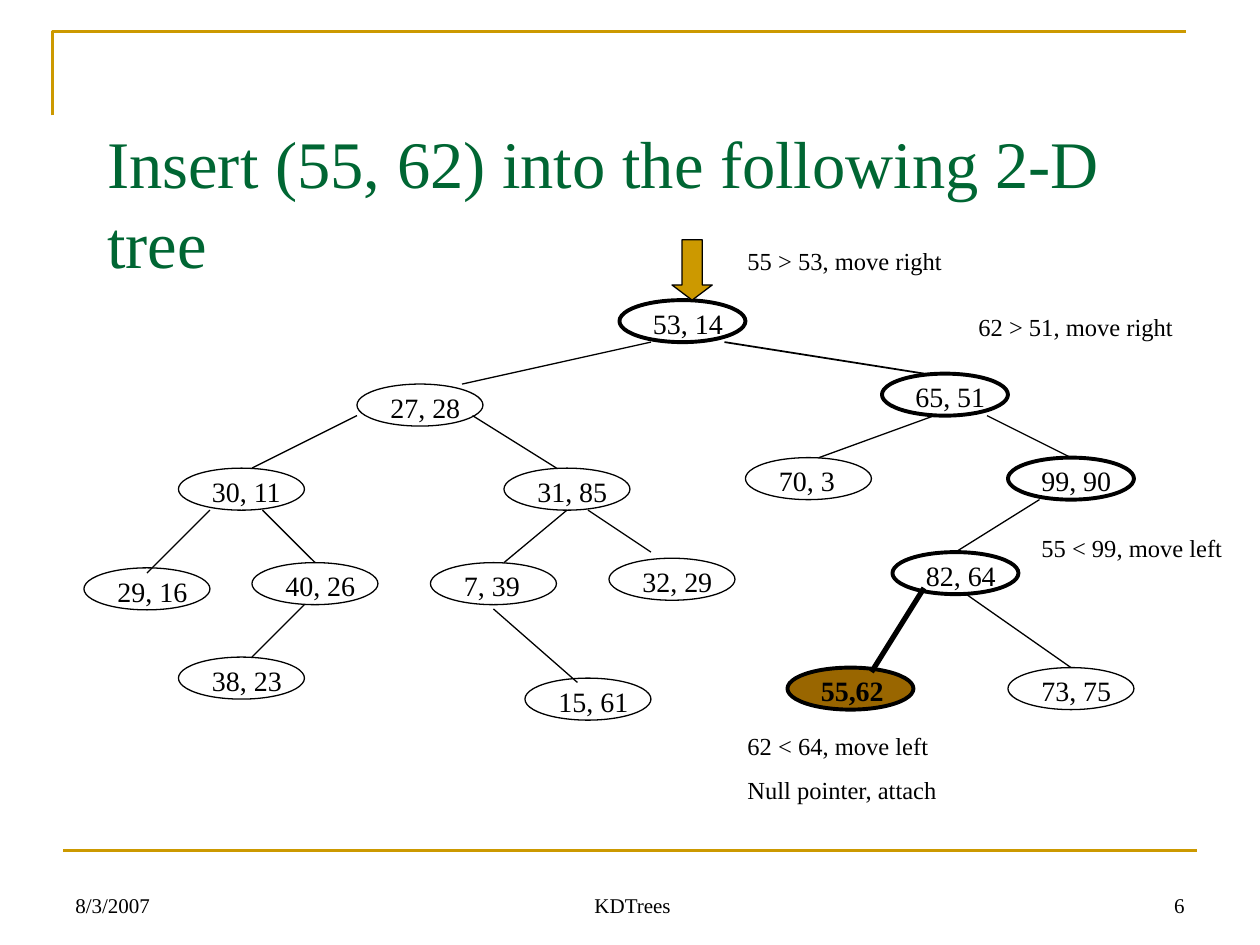
import pptx
import pptx.util
import pptx.dml.color
import pptx.enum.shapes
import pptx.enum.text
import pptx.oxml

Pt = pptx.util.Pt
Shape = pptx.enum.shapes.MSO_SHAPE
Align = pptx.enum.text.PP_ALIGN
Anchor = pptx.enum.text.MSO_ANCHOR
Fit = pptx.enum.text.MSO_AUTO_SIZE

HUES = {"ink": "000000", "gold": "CC9900", "green": "006633",
        "paper": "FFFFFF", "new": "996600"}
FACE = "Times New Roman"
NODE_W, NODE_H = 72, 24

# Nodes: label, left, top within the tree, on the search path or not
NODES = [
    ("53, 14", 306, 0, True), ("27, 28", 156, 48, False),
    ("65, 51", 456, 42, True), ("31, 85", 240, 96, False),
    ("30, 11", 54, 96, False), ("70, 3", 378, 90, False),
    ("99, 90", 528, 90, True), ("29, 16", 0, 153, False),
    ("40, 26", 96, 150, False), ("7, 39", 198, 150, False),
    ("32, 29", 300, 147.5, False), ("82, 64", 462, 144, True),
    ("73, 75", 528, 210, False), ("15, 61", 252, 216, False),
    ("38, 23", 54, 204, False),
]

# Edges: start x, y, end x, y within the tree, line width
EDGES = [
    (324, 24, 216, 48, 0.75), (366, 24, 480, 42, 1),
    (156, 66, 96, 96, 0.75), (222, 66, 270, 96, 0.75),
    (486, 66, 420, 90, 0.75), (516, 66, 564, 90, 0.75),
    (546, 114, 498, 144, 0.75), (504, 168, 564, 210, 0.75),
    (72, 120, 36, 156, 0.75), (102, 120, 132, 150, 0.75),
    (126, 174, 96, 204, 0.75), (276, 120, 240, 150, 0.75),
    (288, 120, 324, 144, 0.75), (234, 176.5, 282, 218.5, 0.75),
]

# Notes: left, top within the tree, height, lines
NOTES = [
    (372, -34.5, 24.5, ["55 > 53, move right"]),
    (504, 3, 24.5, ["62 > 51, move right"]),
    (540, 129.5, 24.5, ["55 < 99, move left"]),
    (372, 242.5, 49.5, ["62 < 64, move left", "Null pointer, attach"]),
]


def hue(name):
    return pptx.dml.color.RGBColor.from_string(HUES[name])


def style(para, size, tint="ink", bold=False, align=Align.LEFT, gap=0):
    para.alignment = align
    para.space_before = Pt(gap)
    font = para.font
    font.name, font.size, font.bold = FACE, Pt(size), bold
    font.color.rgb = hue(tint)


def outline(shape, tint, width):
    shape.line.color.rgb = hue(tint)
    shape.line.width = Pt(width)


def paint(shape, fill, width):
    shape.shadow.inherit = False
    shape.fill.solid()
    shape.fill.fore_color.rgb = hue(fill)
    outline(shape, "ink", width)


def text(shapes, box, lines, size, anchor=Anchor.TOP, **look):
    frame = shapes.add_textbox(*map(Pt, box)).text_frame
    frame.word_wrap = True
    frame.vertical_anchor = anchor
    frame.text = "\n".join(lines)
    for para in frame.paragraphs:
        style(para, size, **look)


def rule(shapes, ends, tint, width):
    line = shapes.add_connector(
        pptx.enum.shapes.MSO_CONNECTOR.STRAIGHT, *map(Pt, ends))
    outline(line, tint, width)
    line._element.spPr.append(pptx.oxml.parse_xml(
        '<a:effectLst xmlns:a='
        '"http://schemas.openxmlformats.org/drawingml/2006/main"/>'))


def border(slide, box):
    x, y, w, h = box
    # Corner at the top left
    path = slide.shapes.build_freeform(Pt(x), Pt(y + 48), scale=1.0)
    path.add_line_segments([(Pt(x), Pt(y)), (Pt(x + w), Pt(y))], close=False)
    corner = path.convert_to_shape()
    corner.shadow.inherit = False
    corner.fill.background()
    outline(corner, "gold", 1.5)
    # Rule above the footer
    rule(slide.shapes, (x + 6, y + h, x + w + 6, y + h), "gold", 1.5)


def footer(slide, box):
    x, y, w, h = box
    parts = [("8/3/2007", 0, 168, Align.LEFT),
             (" KDTrees", 210, 228, Align.CENTER),
             ("6", w - 168, 168, Align.RIGHT)]
    for words, left, width, align in parts:
        text(slide.shapes, (x + left, y, width, h), [words], 12,
             anchor=Anchor.BOTTOM, align=align)


def title(slide, box):
    head = slide.shapes.title
    head.left, head.top, head.width, head.height = map(Pt, box)
    frame = head.text_frame
    frame.text = "Insert (55, 62) into the following 2-D tree"
    frame.auto_size = Fit.NONE
    frame.word_wrap = True
    frame.vertical_anchor = Anchor.TOP
    style(frame.paragraphs[0], 38, "green")


def node(shapes, x, y, label, width, fill="paper", bold=False):
    oval = shapes.add_shape(
        Shape.OVAL, Pt(x), Pt(y), Pt(NODE_W), Pt(NODE_H))
    paint(oval, fill, width)
    text(shapes, (x + 12, y, NODE_W - 12, 26.5), [label], 16,
         bold=bold, gap=10)


def tree(slide, box):
    x, y = box[:2]
    shapes = slide.shapes

    def edge(x1, y1, x2, y2, width):
        rule(shapes, (x + x1, y + y1, x + x2, y + y2), "ink", width)

    for label, left, top, hit in NODES:
        home = shapes if hit else shapes.add_group_shape().shapes
        node(home, x + left, y + top, label, 2.25 if hit else 0.75)
    for ends in EDGES:
        edge(*ends)
    # Inserted node and its link
    node(shapes, x + 402, y + 210, "55,62", 2.25, "new", True)
    edge(480, 164.5, 450, 212.5, 3)
    # Arrow to the root
    arrow = shapes.add_shape(
        Shape.DOWN_ARROW, Pt(x + 336), Pt(y - 34.5), Pt(23), Pt(34.5))
    arrow.adjustments[0], arrow.adjustments[1] = 0.5, 0.375
    paint(arrow, "gold", 0.75)
    # Notes on each step
    for left, top, high, lines in NOTES:
        text(shapes, (x + left, y + top, 126, high), lines, 14, gap=8.8)


def main():
    deck = pptx.Presentation()
    deck.slide_width, deck.slide_height = Pt(720), Pt(540)
    slide = deck.slides.add_slide(deck.slide_layouts[5])
    border(slide, (30, 18, 648, 468))
    footer(slide, (36, 492, 648, 36))
    title(slide, (54, 66, 612, 42))
    tree(slide, (48, 171.5, 600, 240))
    deck.save("out.pptx")


if __name__ == "__main__":
    main()
